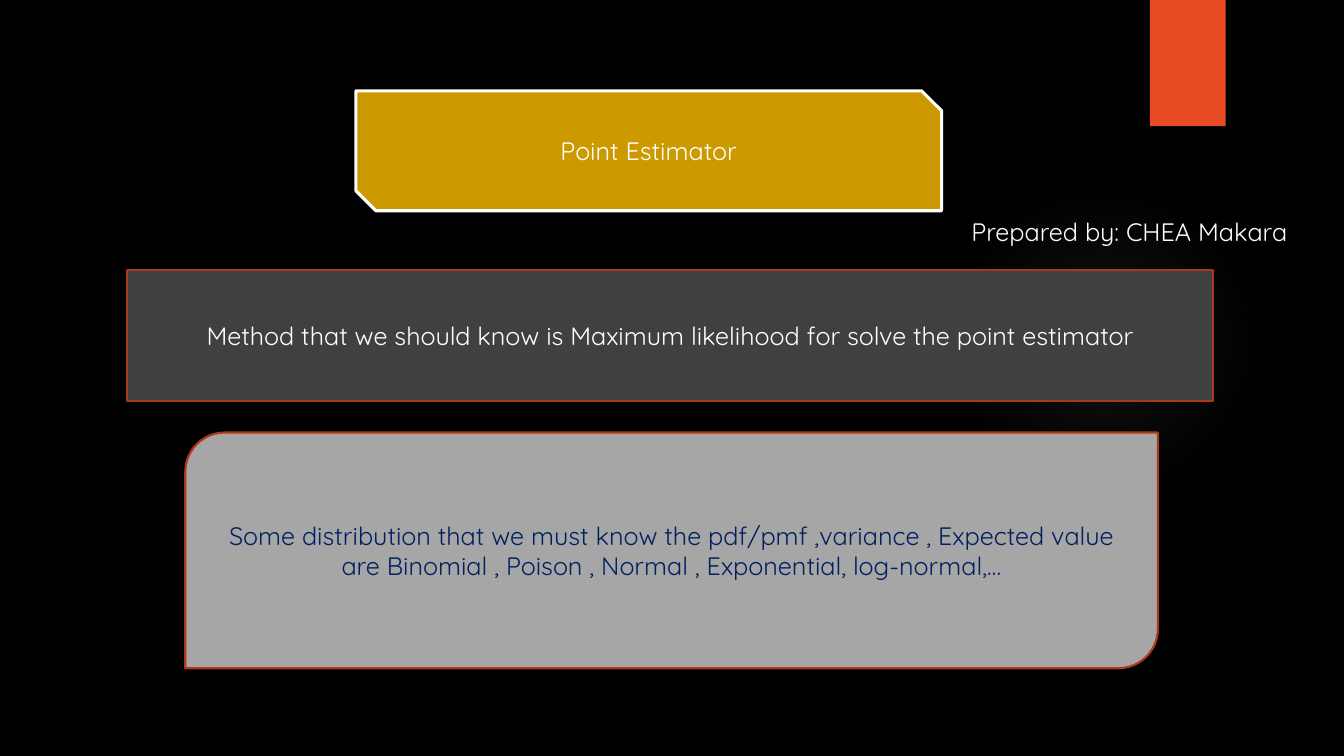
"""Build the point estimator summary slide."""
import pptx
import pptx.dml.color
import pptx.enum.shapes
import pptx.enum.text
import pptx.oxml
import pptx.util

Cm = pptx.util.Cm
Pt = pptx.util.Pt
RGBColor = pptx.dml.color.RGBColor
SHAPE = pptx.enum.shapes.MSO_SHAPE
ALIGN = pptx.enum.text.PP_ALIGN
ANCHOR = pptx.enum.text.MSO_ANCHOR

BLACK = RGBColor(0x00, 0x00, 0x00)
WHITE = RGBColor(0xFF, 0xFF, 0xFF)
ORANGE = RGBColor(0xE8, 0x4C, 0x22)
RUST = RGBColor(0xAC, 0x38, 0x19)
GOLD = RGBColor(0xCC, 0x99, 0x00)
CHARCOAL = RGBColor(0x40, 0x40, 0x40)
GREY = RGBColor(0xA6, 0xA6, 0xA6)
NAVY = RGBColor(0x00, 0x20, 0x60)
GLOW = RGBColor(0x9A, 0x9A, 0x8C)
NAMESPACE = 'xmlns:a="http://schemas.openxmlformats.org/drawingml/2006/main"'


def add_panel(kind, box, fill):
    panel = slide.shapes.add_shape(kind, *[Cm(length) for length in box])
    panel.shadow.inherit = False
    panel.fill.solid()
    panel.fill.fore_color.rgb = fill
    panel.line.fill.background()
    return panel


def write(frame, words, color, alignment):
    frame.word_wrap = True
    frame.text = words
    paragraph = frame.paragraphs[0]
    paragraph.alignment = alignment
    font = paragraph.runs[0].font
    font.name = "Quicksand"
    font.size = Pt(18)
    font.color.rgb = color


presentation = pptx.Presentation()
presentation.slide_width = Cm(33.87)
presentation.slide_height = Cm(19.05)
slide = presentation.slides.add_slide(presentation.slide_layouts[6])
slide.background.fill.solid()
slide.background.fill.fore_color.rgb = BLACK

glow = add_panel(SHAPE.OVAL, (23.9, 4.65, 7.82, 7.82), GLOW)
stops = "".join(
    f'<a:gs pos="{position * 1000}"><a:srgbClr val="{GLOW}">'
    f'<a:alpha val="{opacity * 1000}"/></a:srgbClr></a:gs>'
    for position, opacity in [(0, 7), (36, 6), (69, 0)]
)
gradient = pptx.oxml.parse_xml(
    f'<a:gradFill {NAMESPACE}><a:gsLst>{stops}</a:gsLst><a:path path="circle">'
    '<a:fillToRect l="50000" t="50000" r="50000" b="50000"/></a:path></a:gradFill>'
)
glow_properties = glow.element.spPr
glow_properties.replace(glow_properties.find(pptx.oxml.ns.qn("a:solidFill")), gradient)

add_panel(SHAPE.RECTANGLE, (28.98, 0, 1.91, 3.18), ORANGE)

panels = [
    (SHAPE.SNIP_2_DIAG_RECTANGLE, (8.97, 2.29, 14.76, 3.02), GOLD, WHITE, 2.25, WHITE,
     "Point Estimator"),
    (SHAPE.RECTANGLE, (3.2, 6.81, 27.38, 3.3), CHARCOAL, RUST, 1.5, WHITE,
     "Method that we should know is Maximum likelihood for solve the point estimator"),
    (SHAPE.ROUND_2_DIAG_RECTANGLE, (4.67, 10.9, 24.51, 5.94), GREY, RUST, 1.5, NAVY,
     "Some distribution that we must know the pdf/pmf ,variance , Expected value "
     "are Binomial , Poison , Normal , Exponential, log-normal,…"),
]
for kind, box, fill, border, border_width, color, words in panels:
    panel = add_panel(kind, box, fill)
    panel.line.color.rgb = border
    panel.line.width = Pt(border_width)
    panel.text_frame.vertical_anchor = ANCHOR.MIDDLE
    write(panel.text_frame, words, color, ALIGN.CENTER)

author = slide.shapes.add_textbox(Cm(24.23), Cm(5.33), Cm(9.63), Cm(1.02))
write(author.text_frame, "Prepared by: CHEA Makara", WHITE, ALIGN.LEFT)

presentation.save("out.pptx")
